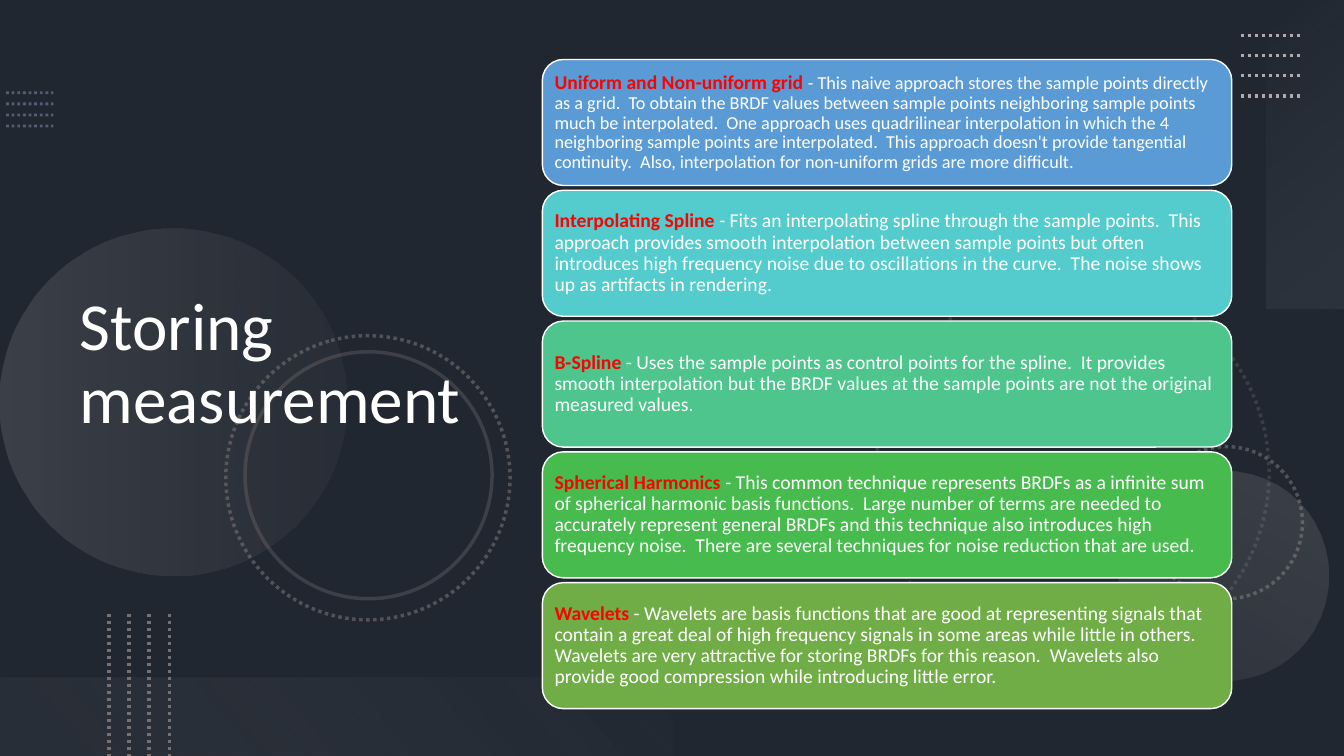
from pptx import Presentation
from pptx import util as u
from pptx.dml.color import RGBColor
from pptx.enum import dml, shapes, text
from pptx.oxml import ns
from pptx.oxml import xmlchemy as xml

COLORS = {
    "slate": "44546A", "black": "000000", "white": "FFFFFF", "red": "FF0000",
    "steel": "8497B0", "gray": "767171", "silver": "AFABAB",
    "smoke": "F5F5F5", "pearl": "F1F0F0", "blue": "5B9BD5",
    "cyan": "54CCCD", "mint": "4DC58D", "green": "48BB4F", "olive": "70AD47",
}


class SlideBuilder:
    """Draws styled elements on one slide, placed in percent of its size."""

    def __init__(self, presentation):
        self.presentation = presentation
        self.slide = presentation.slides.add_slide(presentation.slide_layouts[6])
        self.font = "Calibri"
        fill = self.slide.background.fill
        fill.solid()
        fill.fore_color.rgb = self.color("slate")

    def color(self, name):
        return RGBColor.from_string(COLORS[name])

    def x(self, share):
        return round(self.presentation.slide_width * share / 100)

    def y(self, share):
        return round(self.presentation.slide_height * share / 100)

    def set_alphas(self, shape, alphas):
        found = shape.element.spPr.iter(ns.qn("a:srgbClr"))
        for color, alpha in zip(found, alphas):
            if alpha < 100:
                element = xml.OxmlElement("a:alpha")
                element.set("val", str(alpha * 1000))
                color.append(element)

    def stroke(self, line, color, width, dotted=False):
        line.color.rgb = self.color(color)
        line.width = u.Pt(width)
        if dotted:
            line.dash_style = dml.MSO_LINE.ROUND_DOT

    def shape(self, kind, left, top, width, height, rotation=0):
        shape = self.slide.shapes.add_shape(kind, left, top, width, height)
        shape.shadow.inherit = False
        shape.rotation = rotation
        shape.fill.background()
        shape.line.fill.background()
        return shape

    def rectangle(self, left, top, width, height, rotation=0):
        return self.shape(shapes.MSO_SHAPE.RECTANGLE, self.x(left), self.y(top),
                          self.x(width), self.y(height), rotation)

    def circle(self, left, top, diameter, rotation):
        size = self.x(diameter)
        return self.shape(shapes.MSO_SHAPE.OVAL, self.x(left), self.y(top),
                          size, size, rotation)

    def ring(self, left, top, diameter, rotation, alpha, dotted=True):
        shape = self.circle(left, top, diameter, rotation)
        self.stroke(shape.line, "gray", 2.5, dotted)
        self.set_alphas(shape, [alpha])

    def tint(self, shape, color, alpha):
        shape.fill.solid()
        shape.fill.fore_color.rgb = self.color(color)
        self.set_alphas(shape, [alpha])

    def gradient(self, shape, angle, stops):
        shape.fill.gradient()
        shape.fill.gradient_angle = 360 - angle
        for stop, (position, color, alpha) in zip(shape.fill.gradient_stops, stops):
            stop.position = position
            stop.color.rgb = self.color(color)
        self.set_alphas(shape, [alpha for position, color, alpha in stops])

    def dotted_line(self, x1, y1, x2, y2, color, width, alpha):
        line = self.slide.shapes.add_connector(
            shapes.MSO_CONNECTOR.STRAIGHT,
            self.x(x1), self.y(y1), self.x(x2), self.y(y2))
        self.stroke(line.line, color, width, dotted=True)
        self.set_alphas(line, [alpha])
        line.element.spPr.append(xml.OxmlElement("a:effectLst"))

    def add_runs(self, shape, runs):
        frame = shape.text_frame
        frame.word_wrap = True
        frame.vertical_anchor = text.MSO_ANCHOR.MIDDLE
        paragraph = frame.paragraphs[0]
        paragraph.alignment = text.PP_ALIGN.LEFT
        paragraph.line_spacing = 0.9
        for words, size, color, bold in runs:
            run = paragraph.add_run()
            run.text = words
            run.font.name = self.font
            run.font.size = u.Pt(size)
            run.font.bold = bold
            run.font.color.rgb = self.color(color)

    def title(self, left, top, width, height, words):
        box = self.slide.shapes.add_textbox(
            self.x(left), self.y(top), self.x(width), self.y(height))
        self.add_runs(box, [(words, 48, "white", False)])

    def card(self, left, top, width, height, fill, term, description, size):
        shape = self.shape(shapes.MSO_SHAPE.ROUNDED_RECTANGLE, self.x(left),
                           self.y(top), self.x(width), self.y(height))
        self.tint(shape, fill, 100)
        self.stroke(shape.line, "white", 1)
        frame = shape.text_frame
        frame.margin_left = frame.margin_right = u.Inches(0.06)
        frame.margin_top = frame.margin_bottom = u.Inches(0.06)
        self.add_runs(shape, [(term, 14, "red", True),
                              (description, size, "white", False)])


METHODS = [
    ("blue", "Uniform and Non-uniform grid ", "- This naive approach stores the sample points directly as a grid.  To obtain the BRDF values between sample points neighboring sample points much be interpolated.  One approach uses quadrilinear interpolation in which the 4 neighboring sample points are interpolated.  This approach doesn't provide tangential continuity.  Also, interpolation for non-uniform grids are more difficult.", 13),
    ("cyan", "Interpolating Spline ", "- Fits an interpolating spline through the sample points.  This approach provides smooth interpolation between sample points but often introduces high frequency noise due to oscillations in the curve.  The noise shows up as artifacts in rendering.", 14),
    ("mint", "B-Spline ", "- Uses the sample points as control points for the spline.  It provides smooth interpolation but the BRDF values at the sample points are not the original measured values.", 14),
    ("green", "Spherical Harmonics ", "- This common technique represents BRDFs as a infinite sum of spherical harmonic basis functions.  Large number of terms are needed to accurately represent general BRDFs and this technique also introduces high frequency noise.  There are several techniques for noise reduction that are used.", 14),
    ("olive", "Wavelets", " - Wavelets are basis functions that are good at representing signals that contain a great deal of high frequency signals in some areas while little in others.  Wavelets are very attractive for storing BRDFs for this reason.  Wavelets also provide good compression while introducing little error.", 14),
]


def main():
    presentation = Presentation()
    presentation.slide_width = u.Inches(13.33)
    presentation.slide_height = u.Inches(7.5)
    builder = SlideBuilder(presentation)

    builder.tint(builder.rectangle(0, 0, 100, 100), "black", 53)
    for row in range(4):
        y = 12.27 + row * 1.47
        builder.dotted_line(0.45, y, 3.98, y, "steel", 2, 50)

    builder.ring(65.18, 36.53, 29.25, 75, 30)
    builder.ring(85.58, 59.07, 11.33, 270, 60)
    builder.gradient(builder.circle(0, 30.27, 25.8, 270), 90,
                     [(0, "silver", 20), (1, "gray", 10)])
    builder.gradient(builder.circle(83.25, 62.27, 15.6, 210), 90,
                     [(0, "silver", 10), (1, "silver", 20)])
    builder.ring(16.8, 44.4, 21.15, 75, 60)
    builder.ring(18.23, 46.53, 18.38, 75, 35, dotted=False)

    builder.gradient(builder.rectangle(85.65, 15.2, 22.95, 10.4, 270), 140,
                     [(0, "smoke", 0), (1, "silver", 10)])
    for row in range(4):
        y = 4.67 + row * 2.67
        builder.dotted_line(92.33, y, 96.83, y, "silver", 2.5, 100)
    builder.gradient(builder.rectangle(0, 89.6, 50, 10.4, 180), 140,
                     [(0.1, "gray", 10), (1, "pearl", 0)])
    for column in range(4):
        x = 8.1 + column * 1.5
        builder.dotted_line(x, 81.2, x, 100, "gray", 2.5, 100)

    builder.title(5.18, 7.2, 34.43, 82.27, "Storing measurement")
    for row, method in enumerate(METHODS):
        builder.card(40.35, 7.87 + row * 17.3, 51.3, 16.67, *method)

    presentation.save("out.pptx")


if __name__ == "__main__":
    main()
